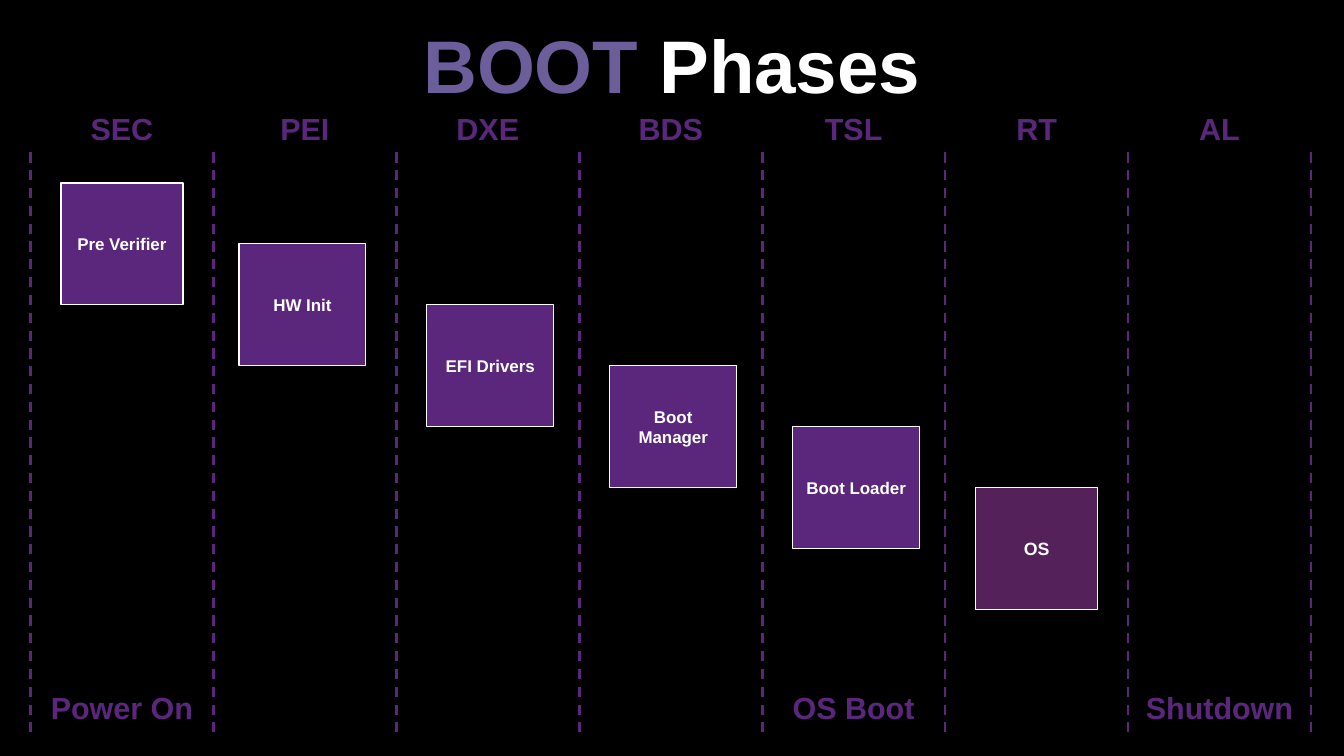
"""Build the BOOT Phases slide."""
from lxml import etree
from pptx import Presentation
from pptx import util as u
from pptx.dml.color import RGBColor
from pptx.enum import dml, shapes, text
from pptx.oxml.ns import qn

PX = u.Inches(1) // 100
FONT = "Arial"
BLACK = RGBColor(0x00, 0x00, 0x00)
WHITE = RGBColor(0xFF, 0xFF, 0xFF)
LAVENDER = RGBColor(0x6B, 0x5E, 0x9B)
PURPLE = RGBColor(0x5B, 0x27, 0x7D)
PLUM = RGBColor(0x55, 0x21, 0x5B)

LEFT, PITCH = 25, 150
HEADING_TOP, FOOTING_TOP = 75, 550
DIVIDER_TOP, DIVIDER_BOTTOM = 125, 600
STAGE_TOP, STAGE_DROP, STAGE_HEIGHT = 150, 50, 100

PHASES = ["SEC", "PEI", "DXE", "BDS", "TSL", "RT", "AL"]
EVENTS = {"SEC": "Power On", "TSL": "OS Boot", "AL": "Shutdown"}
STAGES = [
    ("Pre Verifier", 25, 100, PURPLE, 10),
    ("HW Init", 21, 104, PURPLE, 10),
    ("EFI Drivers", 25, 104, PURPLE, 10),
    ("Boot Manager", 25, 104, PURPLE, 10),
    ("Boot Loader", 25, 104, PURPLE, 10),
    ("OS", 25, 100, PLUM, 10.5),
]


class PhaseSlide:
    """Hold the style and the slide, and draw each kind of element."""

    def __init__(self, deck):
        """Add a black title-only slide to the deck."""
        self.slide = deck.slides.add_slide(deck.slide_layouts[5])
        self.slide.background.fill.solid()
        self.slide.background.fill.fore_color.rgb = BLACK

    def style(self, paragraph, size, color=None):
        """Centre a paragraph and set its font."""
        paragraph.alignment = text.PP_ALIGN.CENTER
        paragraph.font.name = FONT
        paragraph.font.size = u.Pt(size)
        paragraph.font.bold = True
        if color is not None:
            paragraph.font.color.rgb = color

    def title(self, left, top, width, height, parts):
        """Place the title and fill it with coloured parts."""
        heading = self.slide.shapes.title
        heading.left, heading.top = left * PX, top * PX
        heading.width, heading.height = width * PX, height * PX
        frame = heading.text_frame
        frame.margin_left = frame.margin_right = 0
        frame.margin_top = frame.margin_bottom = 0
        frame.vertical_anchor = text.MSO_ANCHOR.MIDDLE
        frame.auto_size = text.MSO_AUTO_SIZE.SHAPE_TO_FIT_TEXT
        paragraph = frame.paragraphs[0]
        self.style(paragraph, 44)
        for wording, color in parts:
            run = paragraph.add_run()
            run.text = wording
            run.font.color.rgb = color

    def label(self, left, top, wording):
        """Add a column label resting on the bottom of its box."""
        box = self.slide.shapes.add_textbox(left * PX, top * PX, PITCH * PX, 50 * PX)
        frame = box.text_frame
        frame.word_wrap = True
        frame.auto_size = text.MSO_AUTO_SIZE.SHAPE_TO_FIT_TEXT
        frame.vertical_anchor = text.MSO_ANCHOR.BOTTOM
        frame.text = wording
        self.style(frame.paragraphs[0], 18, PURPLE)

    def divider(self, x):
        """Add a dashed vertical line between columns."""
        line = self.slide.shapes.add_connector(
            shapes.MSO_CONNECTOR.STRAIGHT,
            x * PX, DIVIDER_TOP * PX, x * PX, DIVIDER_BOTTOM * PX)
        line.line.color.rgb = PURPLE
        line.line.width = u.Pt(1.5)
        line.line.dash_style = dml.MSO_LINE.DASH
        etree.SubElement(line._element.spPr, qn("a:effectLst"))

    def stage(self, left, top, width, wording, fill, size):
        """Add an outlined box for one boot stage."""
        box = self.slide.shapes.add_shape(
            shapes.MSO_SHAPE.RECTANGLE,
            left * PX, top * PX, width * PX, STAGE_HEIGHT * PX)
        box.shadow.inherit = False
        box.fill.solid()
        box.fill.fore_color.rgb = fill
        box.line.color.rgb = WHITE
        box.line.width = u.Pt(0.79)
        frame = box.text_frame
        frame.word_wrap = True
        frame.vertical_anchor = text.MSO_ANCHOR.MIDDLE
        frame.text = wording
        self.style(frame.paragraphs[0], size, WHITE)


def main():
    """Lay out the phases and save the deck."""
    deck = Presentation()
    deck.slide_width, deck.slide_height = 1102 * PX, 620 * PX
    page = PhaseSlide(deck)
    page.title(55, 0, 992, 104, [("BOOT ", LAVENDER), ("Phases", WHITE)])

    for column in range(len(PHASES) + 1):
        page.divider(LEFT + column * PITCH)

    for column, phase in enumerate(PHASES):
        left = LEFT + column * PITCH
        page.label(left, HEADING_TOP, phase)
        if phase in EVENTS:
            page.label(left, FOOTING_TOP, EVENTS[phase])

    for column, (wording, inset, width, fill, size) in enumerate(STAGES):
        page.stage(LEFT + column * PITCH + inset, STAGE_TOP + column * STAGE_DROP,
                   width, wording, fill, size)

    deck.save("out.pptx")


if __name__ == "__main__":
    main()
